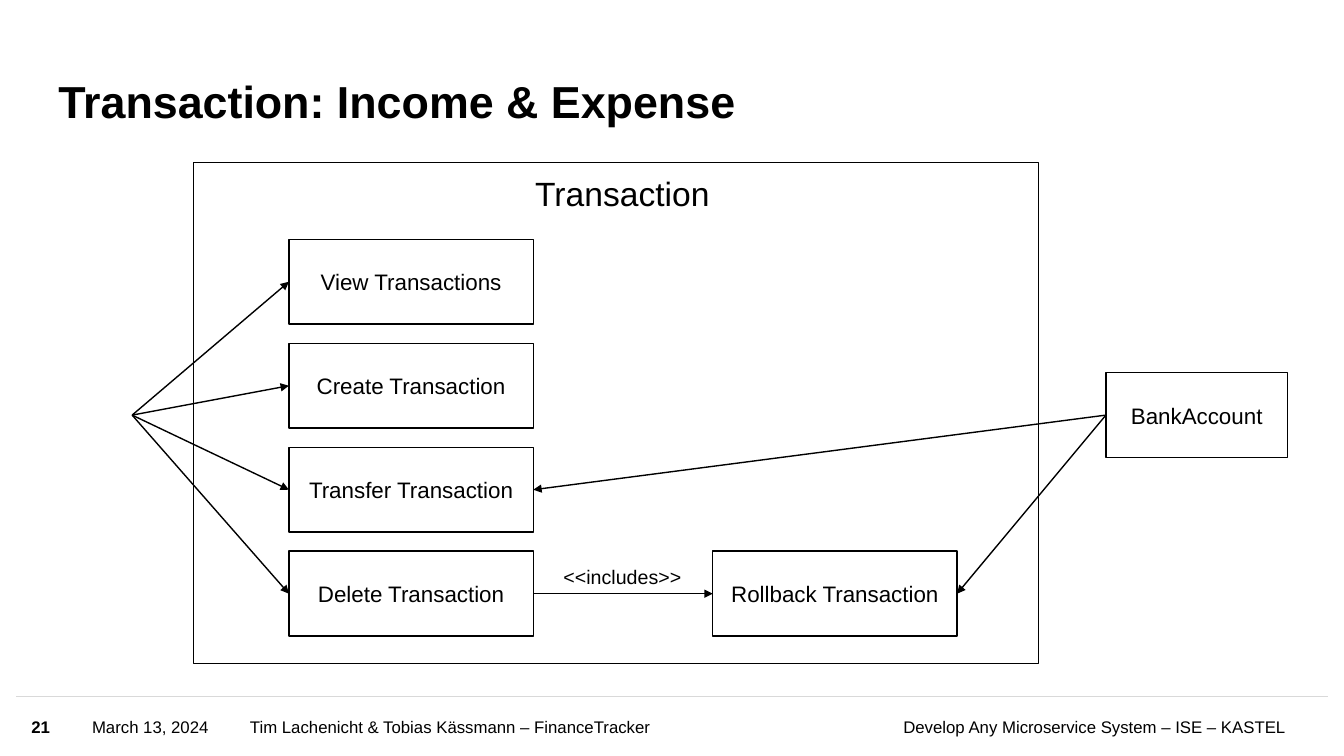
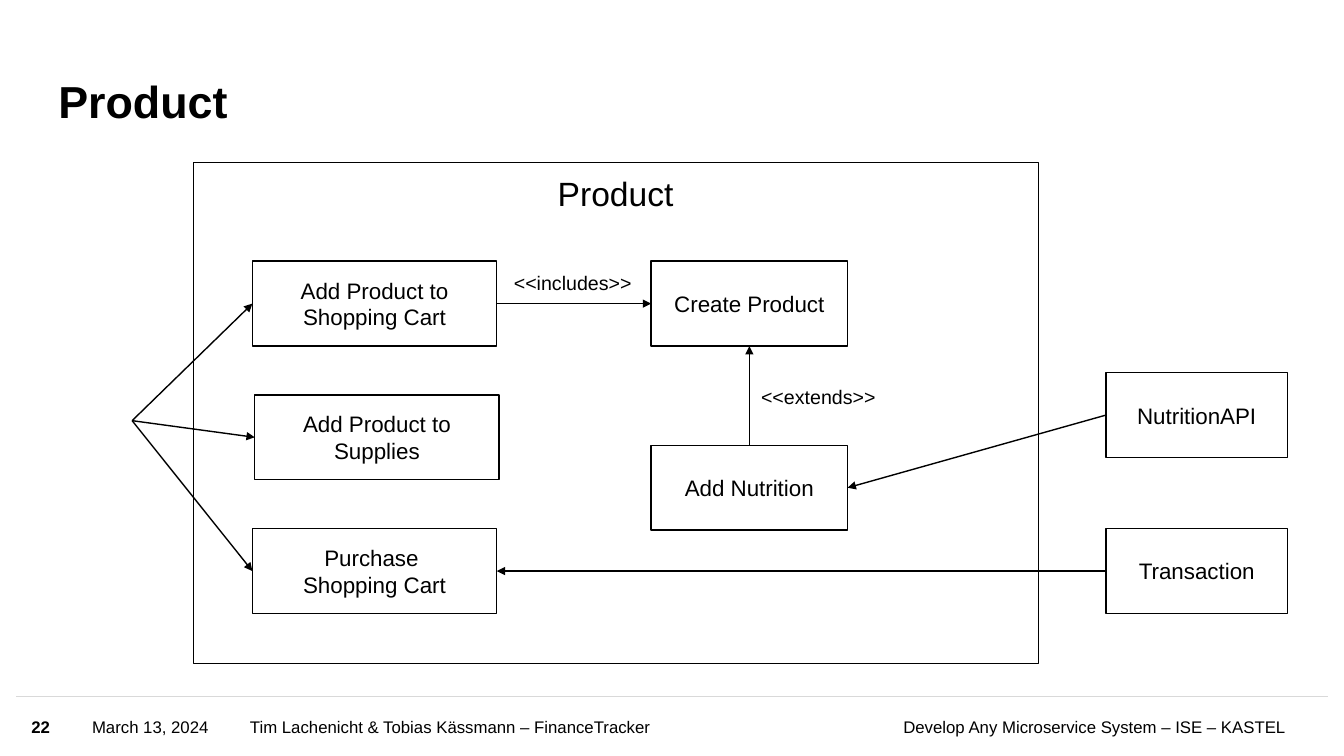
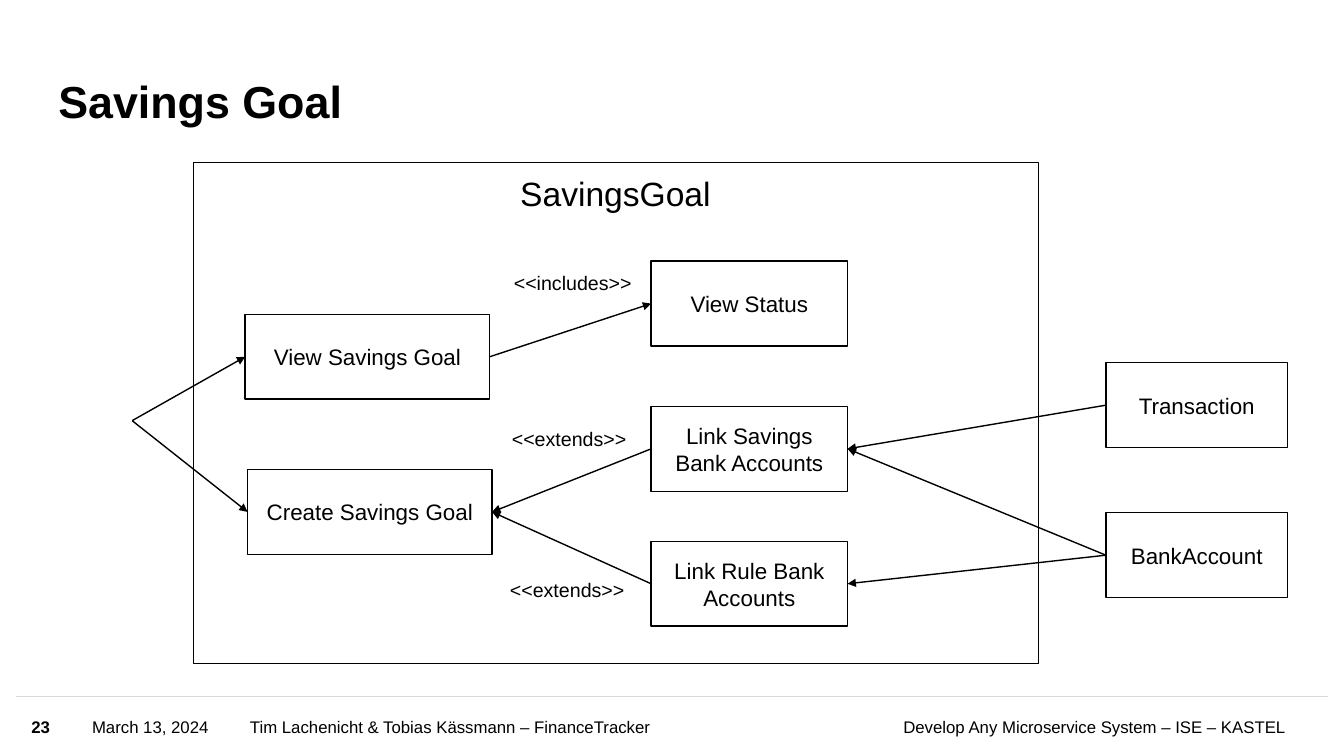
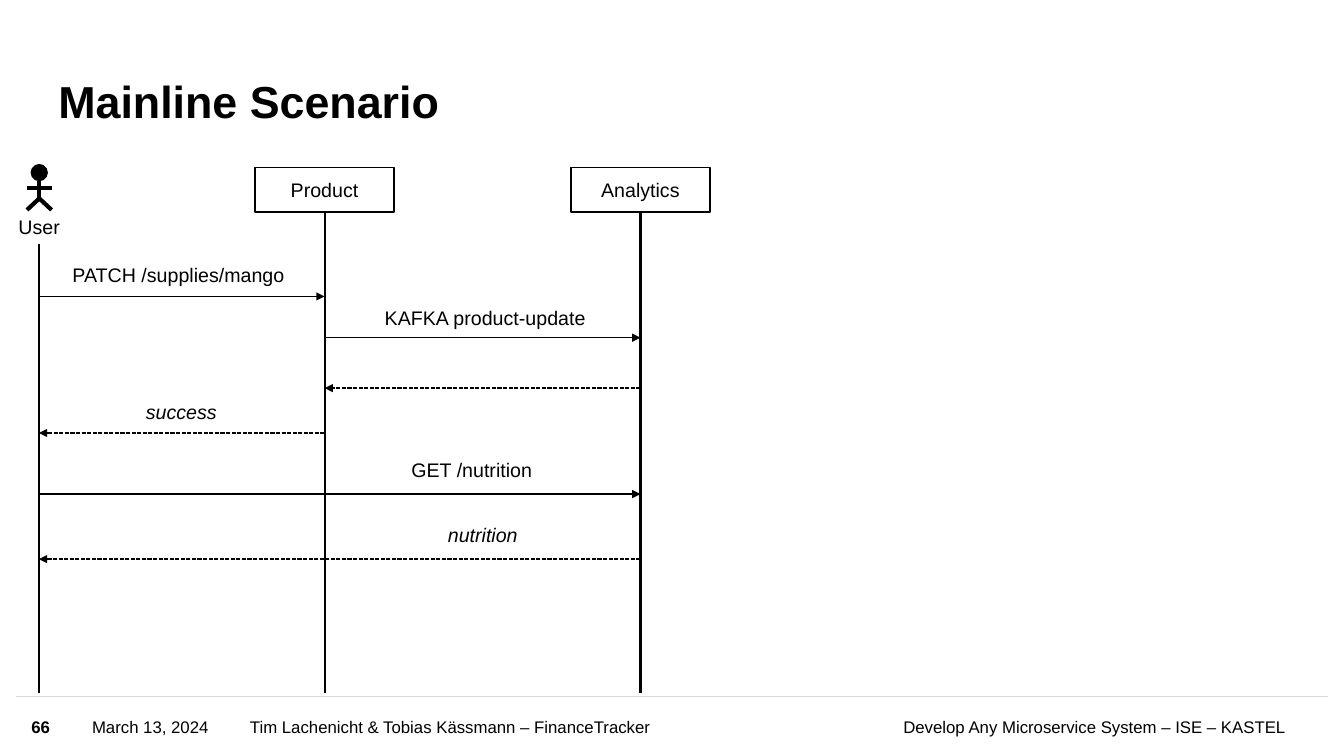
"""Builds four FinanceTracker slides: three use case diagrams and one sequence diagram."""
from lxml.etree import SubElement
from pptx import Presentation
from pptx.dml.color import RGBColor
from pptx.enum.dml import MSO_LINE
from pptx.enum.shapes import MSO_CONNECTOR, MSO_SHAPE
from pptx.enum.text import MSO_ANCHOR, MSO_AUTO_SIZE, PP_ALIGN
from pptx.oxml.ns import qn
from pptx.util import Cm, Pt

COLORS = {"ink": "000000", "rule": "D9D9D9", "paper": "FFFFFF"}
FONT = "Arial"
TOP, LEFT, BOTTOM, RIGHT = range(4)
BOX_HEIGHT = 2.14
CASE_WIDTH, DETAIL_WIDTH, SYSTEM_WIDTH = 6.16, 4.95, 4.58
DETAIL_LEFT, SYSTEM_LEFT = 16.41, 27.87
USER_X = 3.33
LABEL_WIDTH, LABEL_HEIGHT = 3.6, 0.86


def add_text(shapes, at, text, size, outlined=False, align=PP_ALIGN.LEFT, anchor=MSO_ANCHOR.TOP,
             inset=True, wrap=True, grow=False, bold=False, italic=False, spacing=None):
    box = [Cm(length) for length in at]
    if outlined:
        shape = shapes.add_shape(MSO_SHAPE.RECTANGLE, *box)
        shape.shadow.inherit = False
        shape.fill.background()
        shape.line.color.rgb = RGBColor.from_string(COLORS["ink"])
        shape.line.width = Pt(1)
    else:
        shape = shapes.add_textbox(*box)
    frame = shape.text_frame
    frame.text = text
    frame.word_wrap = wrap
    frame.vertical_anchor = anchor
    if grow:
        frame.auto_size = MSO_AUTO_SIZE.SHAPE_TO_FIT_TEXT
    if not inset:
        frame.margin_left = frame.margin_top = frame.margin_right = frame.margin_bottom = 0
    for paragraph in frame.paragraphs:
        paragraph.alignment = align
        paragraph.line_spacing = spacing
        paragraph.font.name = FONT
        paragraph.font.size = Pt(size)
        paragraph.font.bold = bold
        paragraph.font.italic = italic
        paragraph.font.color.rgb = RGBColor.from_string(COLORS["ink"])
    return shape


def add_line(shapes, start, end, color="ink", width=1, arrow=False, dashed=False):
    points = [Cm(length) for length in (*start, *end)]
    connector = shapes.add_connector(MSO_CONNECTOR.STRAIGHT, *points)
    connector.line.color.rgb = RGBColor.from_string(COLORS[color])
    connector.line.width = Pt(width)
    if dashed:
        connector.line.dash_style = MSO_LINE.SQUARE_DOT
    properties = connector.element.spPr
    if arrow:
        SubElement(properties.find(qn("a:ln")), qn("a:tailEnd"), type="triangle")
    SubElement(properties, qn("a:effectLst"))
    return connector


presentation = Presentation()
presentation.slide_width = Cm(33.87)
presentation.slide_height = Cm(19.05)

titles = {
    "21": "Transaction: Income & Expense",
    "22": "Product",
    "23": "Savings Goal",
    "66": "Mainline Scenario",
}
for number, title in titles.items():
    slide = presentation.slides.add_slide(presentation.slide_layouts[6])
    add_line(slide.shapes, (0.41, 17.55), (33.48, 17.55), color="rule")
    for left, width, text, align in (
        (0.79, 1.22, number, PP_ALIGN.LEFT),
        (2.32, 3.81, "March 13, 2024", PP_ALIGN.LEFT),
        (6.3, 13.64, "Tim Lachenicht & Tobias Kässmann – FinanceTracker", PP_ALIGN.LEFT),
        (20.4, 12.01, "Develop Any Microservice System – ISE – KASTEL", PP_ALIGN.RIGHT),
    ):
        add_text(slide.shapes, (left, 17.58, width, 1.47), text, 12, align=align,
                 anchor=MSO_ANCHOR.MIDDLE, inset=False, bold=text == number)
    add_text(slide.shapes, (1.47, 1.09, 25.45, 2.13), title, 32, anchor=MSO_ANCHOR.BOTTOM,
             inset=False, bold=True, spacing=0.9)

diagrams = [
    {
        "heading": ("Transaction", 13.21, 4.95),
        "user_y": 10.46,
        "boxes": [
            ("View Transactions", 7.28, 6.03, CASE_WIDTH),
            ("Create Transaction", 7.28, 8.65, CASE_WIDTH),
            ("Transfer Transaction", 7.28, 11.27, CASE_WIDTH),
            ("Delete Transaction", 7.28, 13.89, CASE_WIDTH),
            ("Rollback Transaction", 17.96, 13.89, CASE_WIDTH),
            ("BankAccount", SYSTEM_LEFT, 9.39, SYSTEM_WIDTH),
        ],
        "user_cases": ["View Transactions", "Create Transaction", "Transfer Transaction",
                       "Delete Transaction"],
        "arrows": [
            ("Delete Transaction", RIGHT, "Rollback Transaction", LEFT),
            ("BankAccount", LEFT, "Transfer Transaction", RIGHT),
            ("BankAccount", LEFT, "Rollback Transaction", RIGHT),
        ],
        "labels": [("<<includes>>", 13.95, 14.1)],
    },
    {
        "heading": ("Product", 13.79, 3.45),
        "user_y": 10.6,
        "boxes": [
            ("Add Product to Shopping Cart", 6.36, 6.58, CASE_WIDTH),
            ("Add Product to Supplies", 6.42, 9.95, CASE_WIDTH),
            ("Purchase \nShopping Cart", 6.36, 13.32, CASE_WIDTH),
            ("Create Product", DETAIL_LEFT, 6.58, DETAIL_WIDTH),
            ("Add Nutrition", DETAIL_LEFT, 11.22, DETAIL_WIDTH),
            ("NutritionAPI", SYSTEM_LEFT, 9.39, SYSTEM_WIDTH),
            ("Transaction", SYSTEM_LEFT, 13.32, SYSTEM_WIDTH),
        ],
        "user_cases": ["Add Product to Shopping Cart", "Add Product to Supplies",
                       "Purchase \nShopping Cart"],
        "arrows": [
            ("Add Product to Shopping Cart", RIGHT, "Create Product", LEFT),
            ("Add Nutrition", TOP, "Create Product", BOTTOM),
            ("NutritionAPI", LEFT, "Add Nutrition", RIGHT),
            ("Transaction", LEFT, "Purchase \nShopping Cart", RIGHT),
        ],
        "labels": [("<<includes>>", 12.7, 6.7), ("<<extends>>", 18.93, 9.57)],
    },
    {
        "heading": ("SavingsGoal", 12.83, 5.36),
        "user_y": 10.6,
        "boxes": [
            ("View Savings Goal", 6.18, 7.92, CASE_WIDTH),
            ("Create Savings Goal", 6.24, 11.83, CASE_WIDTH),
            ("View Status", DETAIL_LEFT, 6.58, DETAIL_WIDTH),
            ("Link Savings Bank Accounts", DETAIL_LEFT, 10.24, DETAIL_WIDTH),
            ("Link Rule Bank Accounts", DETAIL_LEFT, 13.64, DETAIL_WIDTH),
            ("Transaction", SYSTEM_LEFT, 9.14, SYSTEM_WIDTH),
            ("BankAccount", SYSTEM_LEFT, 12.92, SYSTEM_WIDTH),
        ],
        "user_cases": ["View Savings Goal", "Create Savings Goal"],
        "arrows": [
            ("View Savings Goal", RIGHT, "View Status", LEFT),
            ("Link Savings Bank Accounts", LEFT, "Create Savings Goal", RIGHT),
            ("Link Rule Bank Accounts", LEFT, "Create Savings Goal", RIGHT),
            ("Transaction", LEFT, "Link Savings Bank Accounts", RIGHT),
            ("BankAccount", LEFT, "Link Savings Bank Accounts", RIGHT),
            ("BankAccount", LEFT, "Link Rule Bank Accounts", RIGHT),
        ],
        "labels": [("<<includes>>", 12.7, 6.7), ("<<extends>>", 12.65, 10.64),
                   ("<<extends>>", 12.6, 14.43)],
    },
]
for slide, diagram in zip(presentation.slides, diagrams):
    add_text(slide.shapes, (4.88, 4.1, 21.29, 12.62), "", 16, outlined=True)
    heading, left, width = diagram["heading"]
    add_text(slide.shapes, (left, 4.22, width, 1.28), heading, 24, align=PP_ALIGN.CENTER,
             wrap=False, grow=True)
    boxes = {}
    for text, left, top, width in diagram["boxes"]:
        boxes[text] = add_text(slide.shapes, (left, top, width, BOX_HEIGHT), text, 16, outlined=True,
                               align=PP_ALIGN.CENTER, anchor=MSO_ANCHOR.MIDDLE)
    user = (USER_X, diagram["user_y"])
    for case in diagram["user_cases"]:
        connector = add_line(slide.shapes, user, user, arrow=True)
        connector.end_connect(boxes[case], LEFT)
    for source, source_side, target, target_side in diagram["arrows"]:
        connector = add_line(slide.shapes, user, user, arrow=True)
        connector.begin_connect(boxes[source], source_side)
        connector.end_connect(boxes[target], target_side)
    for text, left, top in diagram["labels"]:
        add_text(slide.shapes, (left, top, LABEL_WIDTH, LABEL_HEIGHT), text, 14, wrap=False, grow=True)

slide = presentation.slides[3]
lifelines = {"User": 0.98, "Product": 8.18, "Analytics": 16.14}
lifeline_end = 17.45

actor = slide.shapes.add_group_shape()
head = actor.shapes.add_shape(MSO_SHAPE.OVAL, Cm(0.79), Cm(4.15), Cm(0.4), Cm(0.4))
head.shadow.inherit = False
head.fill.solid()
head.fill.fore_color.rgb = RGBColor.from_string(COLORS["ink"])
head.line.color.rgb = RGBColor.from_string(COLORS["ink"])
head.line.width = Pt(1)
neck, hip = (0.99, 4.55), (0.99, 5)
for start, end in ((neck, hip), ((0.68, 4.73), (1.32, 4.73)), (hip, (0.68, 5.29)), (hip, (1.3, 5.29))):
    add_line(actor.shapes, start, end, width=3)
add_text(actor.shapes, (0, 5.29, 1.98, LABEL_HEIGHT), "User", 14, align=PP_ALIGN.CENTER, grow=True)

for name, x in lifelines.items():
    lifeline = add_line(slide.shapes, (x, 6.15), (x, lifeline_end), width=1.5)
    if name != "User":
        participant = add_text(slide.shapes, (x - 1.75, 4.22, 3.5, 1.12), name, 14, outlined=True,
                               align=PP_ALIGN.CENTER, anchor=MSO_ANCHOR.MIDDLE)
        lifeline.begin_connect(participant, BOTTOM)

for source, target, y, dashed in (
    ("User", "Product", 7.47, False),
    ("Product", "Analytics", 8.51, False),
    ("Analytics", "Product", 9.78, True),
    ("Product", "User", 10.91, True),
    ("User", "Analytics", 12.45, False),
    ("Analytics", "User", 14.09, True),
):
    add_line(slide.shapes, (lifelines[source], y), (lifelines[target], y), arrow=True, dashed=dashed)

for text, left, top, width, italic in (
    ("PATCH /supplies/mango", 1.3, 6.5, 6.4, False),
    ("KAFKA product-update", 8.56, 7.58, 7.34, False),
    ("success", 2.46, 9.96, 4.22, True),
    ("GET /nutrition", 8.69, 11.42, 6.4, False),
    ("nutrition", 10.06, 13.06, 4.22, True),
):
    message = add_text(slide.shapes, (left, top, width, LABEL_HEIGHT), text, 14,
                       align=PP_ALIGN.CENTER, grow=True, italic=italic)
    message.fill.solid()
    message.fill.fore_color.rgb = RGBColor.from_string(COLORS["paper"])
    fill_color = message.element.spPr.find(qn("a:solidFill")).find(qn("a:srgbClr"))
    SubElement(fill_color, qn("a:alpha"), val="90000")

presentation.save("out.pptx")
